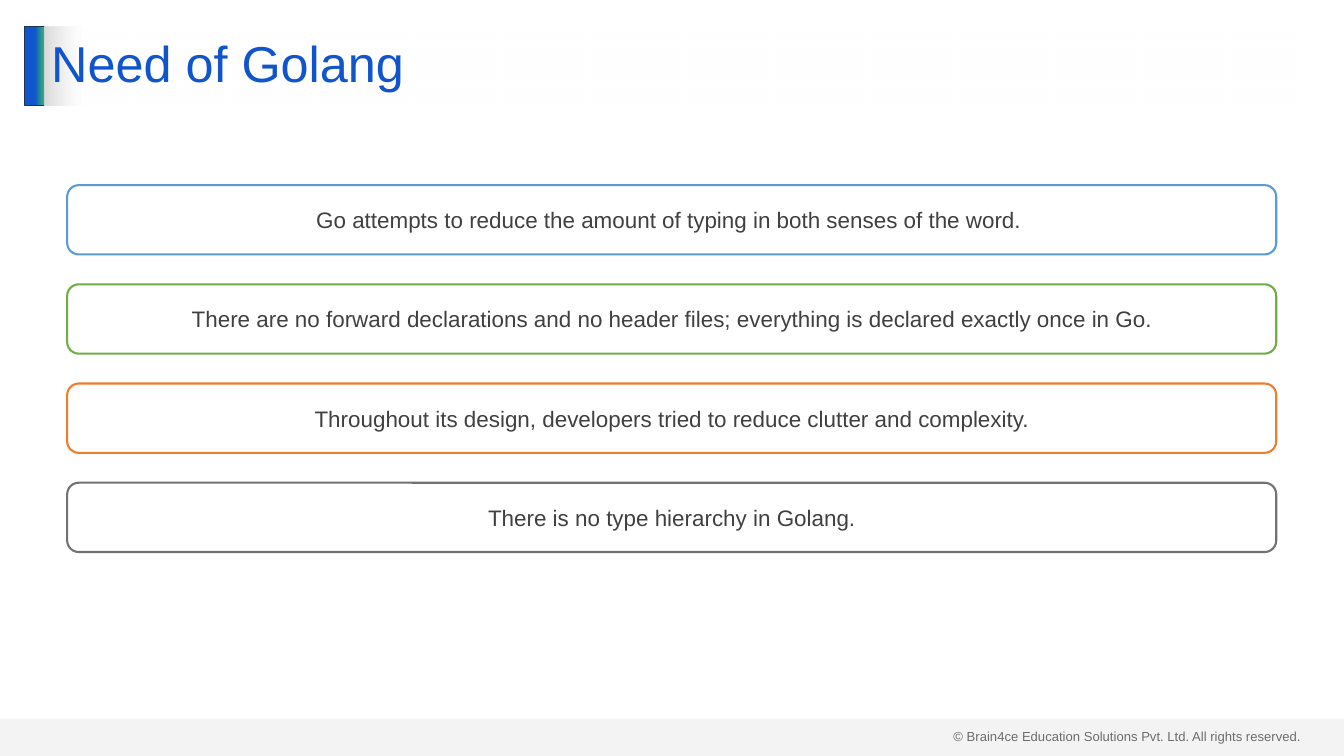
from dataclasses import dataclass

import pptx
import pptx.dml.color
import pptx.enum.shapes
import pptx.enum.text
import pptx.oxml
import pptx.oxml.ns
import pptx.util
from pptx.util import Cm

SHAPE = pptx.enum.shapes.MSO_SHAPE
ALIGN = pptx.enum.text.PP_ALIGN
ANCHOR = pptx.enum.text.MSO_ANCHOR


@dataclass(frozen=True)
class Theme:
    font: str = "Arial"
    blue: str = "1155CC"
    green: str = "2EA87D"
    navy: str = "1E3256"
    grey: str = "D9D9D9"
    white: str = "FFFFFF"
    text: str = "404040"
    title_size: int = 54
    body_size: int = 24
    footer_size: int = 14


THEME = Theme()

STATEMENTS = [
    ("Go attempts to reduce the amount of typing in both senses of the word. ", "5B9BD5"),
    ("There are no forward declarations and no header files; "
     "everything is declared exactly once in Go.", "70AD47"),
    ("Throughout its design, developers tried to reduce clutter and complexity.", "ED7D31"),
    ("There is no type hierarchy in Golang.", "767171"),
]


def rgb(color):
    return pptx.dml.color.RGBColor.from_string(color)


def add_run(paragraph, text, size, color):
    run = paragraph.add_run()
    run.text = text
    run.font.name = THEME.font
    run.font.size = pptx.util.Pt(size)
    run.font.color.rgb = rgb(color)


def set_gradient(shape, stops):
    """Fill from left to right with (position %, colour, opacity %) stops."""
    shape.fill.gradient()
    shape.fill.gradient_angle = 0
    stop_list = shape._element.spPr.find(".//" + pptx.oxml.ns.qn("a:gsLst"))
    for stop in list(stop_list):
        stop_list.remove(stop)
    for position, color, opacity in stops:
        stop_list.append(pptx.oxml.parse_xml(
            f'<a:gs {pptx.oxml.ns.nsdecls("a")} pos="{position * 1000}">'
            f'<a:srgbClr val="{color}"><a:alpha val="{opacity * 1000}"/></a:srgbClr></a:gs>'))


def add_box(slide, kind, left, top, width, height, fill, line=None, line_width=1):
    shape = slide.shapes.add_shape(kind, Cm(left), Cm(top), Cm(width), Cm(height))
    shape.shadow.inherit = False
    shape.fill.solid()
    shape.fill.fore_color.rgb = rgb(fill)
    if line:
        shape.line.color.rgb = rgb(line)
        shape.line.width = pptx.util.Pt(line_width)
    else:
        shape.line.fill.background()
    return shape


def add_footer(slide):
    """Put the copyright line under a translucent band."""
    box = slide.shapes.add_textbox(Cm(35.79), Cm(27.43), Cm(13.74), Cm(0.86))
    box.text_frame.word_wrap = True
    add_run(box.text_frame.paragraphs[0],
            "© Brain4ce Education Solutions Pvt. Ltd. All rights reserved.",
            THEME.footer_size, THEME.text)
    band = add_box(slide, SHAPE.RECTANGLE, 0, 27.18, 50.8, 1.4, THEME.grey)
    color = band._element.spPr.find(".//" + pptx.oxml.ns.qn("a:srgbClr"))
    color.append(pptx.oxml.parse_xml(
        f'<a:alpha {pptx.oxml.ns.nsdecls("a")} val="29000"/>'))


def add_title_accent(slide):
    accent = add_box(slide, SHAPE.RECTANGLE, 0.94, 0.99, 0.76, 3, THEME.blue, THEME.navy)
    set_gradient(accent, [(51, THEME.blue, 100), (90, THEME.green, 100),
                          (100, THEME.green, 100)])


def set_title(slide, text):
    title = slide.shapes.title
    title.left, title.top, title.width, title.height = Cm(1.68), Cm(0.99), Cm(47.42), Cm(3)
    set_gradient(title, [(0, THEME.grey, 100), (3, THEME.white, 50)])
    frame = title.text_frame
    frame.auto_size = pptx.enum.text.MSO_AUTO_SIZE.NONE
    frame.vertical_anchor = ANCHOR.MIDDLE
    paragraph = frame.paragraphs[0]
    paragraph.alignment = ALIGN.LEFT
    paragraph.line_spacing = 0.9
    add_run(paragraph, text, THEME.title_size, THEME.blue)
    # The title lies in front of the accent and the footer.
    title._element.getparent().append(title._element)


def add_statement(slide, top, text, color):
    box = add_box(slide, SHAPE.ROUNDED_RECTANGLE, 2.54, top, 45.7, 2.62,
                  THEME.white, color, 2.25)
    frame = box.text_frame
    frame.word_wrap = True
    frame.vertical_anchor = ANCHOR.MIDDLE
    paragraph = frame.paragraphs[0]
    paragraph.alignment = ALIGN.CENTER
    add_run(paragraph, text, THEME.body_size, THEME.text)


def main():
    presentation = pptx.Presentation()
    presentation.slide_width, presentation.slide_height = Cm(50.8), Cm(28.58)
    slide = presentation.slides.add_slide(presentation.slide_layouts.get_by_name("Title Only"))
    add_footer(slide)
    add_title_accent(slide)
    set_title(slide, "Need of Golang")
    first_top, pitch = 7, 3.75
    for index, (text, color) in enumerate(STATEMENTS):
        add_statement(slide, first_top + index * pitch, text, color)
    presentation.save("out.pptx")


if __name__ == "__main__":
    main()
